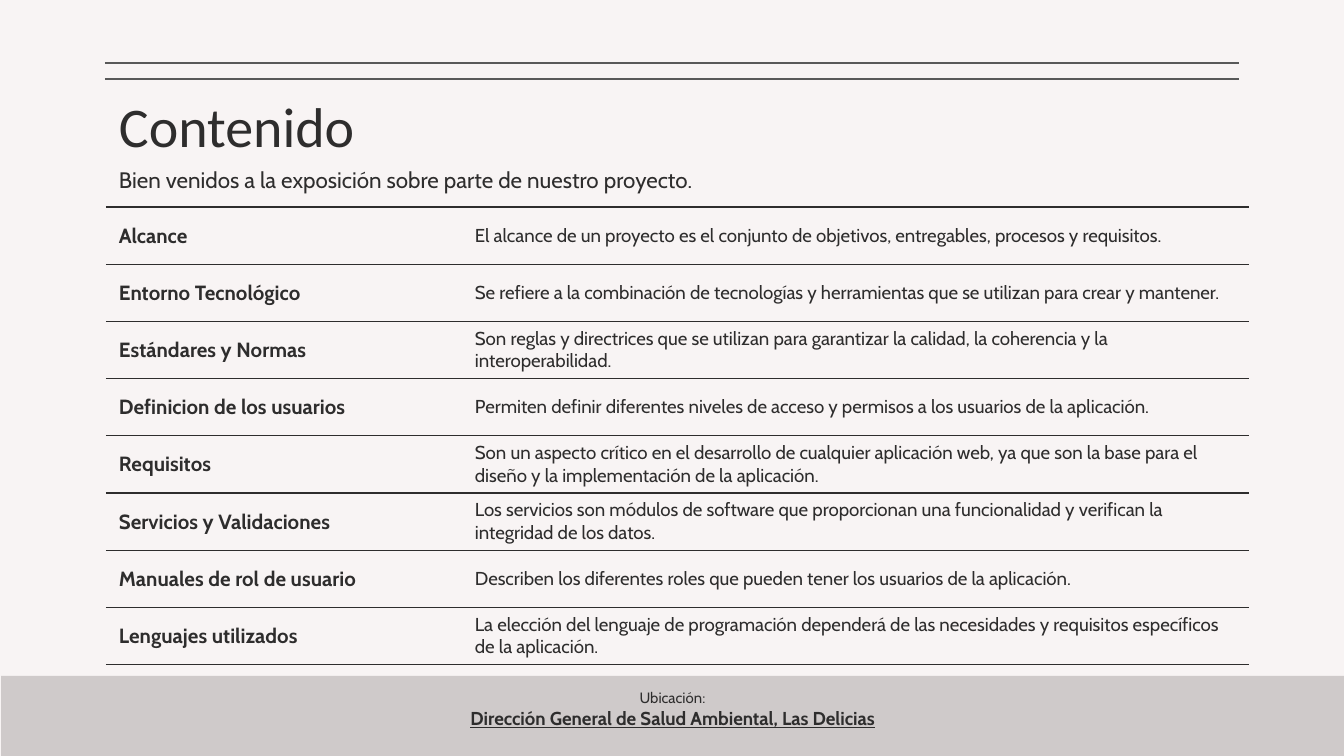
from lxml import etree
from pptx import Presentation
from pptx.dml.color import RGBColor
from pptx.enum.shapes import MSO_CONNECTOR, MSO_SHAPE
from pptx.enum.text import MSO_ANCHOR, PP_ALIGN
from pptx.oxml.ns import qn
from pptx.util import Emu, Pt

STRAIGHT = MSO_CONNECTOR.STRAIGHT
RECTANGLE = MSO_SHAPE.RECTANGLE
TOP, MIDDLE = MSO_ANCHOR.TOP, MSO_ANCHOR.MIDDLE
LEFT, CENTER = PP_ALIGN.LEFT, PP_ALIGN.CENTER

EMU_PER_PX = 914400 / 134.4
SLIDE_WIDTH, SLIDE_HEIGHT = 1344, 756
INSET = 13

BACKGROUND = RGBColor(0xF8, 0xF4, 0xF4)
BAND = RGBColor(0xCF, 0xCA, 0xCA)
RULE = RGBColor(0x59, 0x59, 0x59)
INK = RGBColor(0x2E, 0x2D, 0x2D)

TOPICS = [
    ("Alcance",
     "El alcance de un proyecto es el conjunto de objetivos, entregables, procesos y requisitos."),
    ("Entorno Tecnológico",
     "Se refiere a la combinación de tecnologías y herramientas que se utilizan para crear y mantener."),
    ("Estándares y Normas",
     "Son reglas y directrices que se utilizan para garantizar la calidad, la coherencia y la "
     "interoperabilidad."),
    ("Definicion de los usuarios",
     "Permiten definir diferentes niveles de acceso y permisos a los usuarios de la aplicación."),
    ("Requisitos",
     "Son un aspecto crítico en el desarrollo de cualquier aplicación web, ya que son la base para el "
     "diseño y la implementación de la aplicación."),
    ("Servicios y Validaciones",
     "Los servicios son módulos de software que proporcionan una funcionalidad y verifican la "
     "integridad de los datos."),
    ("Manuales de rol de usuario",
     "Describen los diferentes roles que pueden tener los usuarios de la aplicación."),
    ("Lenguajes utilizados",
     "La elección del lenguaje de programación dependerá de las necesidades y requisitos específicos "
     "de la aplicación."),
]


def px(value):
    return Emu(round(value * EMU_PER_PX))


def style(font, size, name="Cabin", bold=False, underline=False):
    font.name = name
    font.size = Pt(size)
    font.bold = bold
    font.underline = underline
    font.color.rgb = INK


def add_text_box(slide, left, top, width, height, alignment=LEFT):
    """Add an empty wrapped box and return its text frame."""
    box = slide.shapes.add_textbox(px(left), px(top), px(width), px(height))
    text_frame = box.text_frame
    text_frame.word_wrap = True
    text_frame.vertical_anchor = TOP
    text_frame.margin_left = text_frame.margin_right = px(INSET)
    text_frame.margin_top = text_frame.margin_bottom = px(INSET)
    text_frame.paragraphs[0].alignment = alignment
    return text_frame


def add_double_rule(slide, left, top, width, gap):
    for y in (top, top + gap):
        rule = slide.shapes.add_connector(STRAIGHT, px(left), px(y), px(left + width), px(y))
        rule.line.color.rgb = RULE
        rule.line.width = Pt(0.75)
        etree.SubElement(rule._element.spPr, qn("a:effectLst"))


def add_heading(slide, left, top, width):
    title = add_text_box(slide, left, top, width, 85)
    title.text = "Contenido"
    style(title.paragraphs[0].runs[0].font, 30, "Calibri")
    subtitle = add_text_box(slide, left, top + 74, width, 54)
    subtitle.margin_right = 0
    subtitle.text = "Bien venidos a la exposición sobre parte de nuestro proyecto."
    style(subtitle.paragraphs[0].runs[0].font, 12)


def set_borders(cell):
    """Draw the cell's top and bottom edges and hide its sides."""
    properties = cell._tc.get_or_add_tcPr()
    for position, edge in enumerate(("lnL", "lnR", "lnT", "lnB")):
        line = etree.Element(qn(f"a:{edge}"), w=str(Pt(0.75)))
        if edge in ("lnT", "lnB"):
            fill = etree.SubElement(line, qn("a:solidFill"))
            etree.SubElement(fill, qn("a:srgbClr"), val=str(INK))
        else:
            etree.SubElement(line, qn("a:noFill"))
        properties.insert(position, line)


def fill_cell(cell, text, size, bold):
    cell.fill.background()
    cell.vertical_anchor = MIDDLE
    cell.margin_left = cell.margin_right = px(INSET)
    cell.margin_top = cell.margin_bottom = 0
    cell.text_frame.text = text
    style(cell.text_frame.paragraphs[0].runs[0].font, size, bold=bold)
    set_borders(cell)


def add_topics_table(slide, left, top, width, height, topic_width):
    frame = slide.shapes.add_table(len(TOPICS), 2, px(left), px(top), px(width), px(height))
    table = frame.table
    table.first_row = table.horz_banding = False
    table.columns[0].width = px(topic_width)
    table.columns[1].width = px(width - topic_width)
    for index, (topic, description) in enumerate(TOPICS):
        table.rows[index].height = px(height / len(TOPICS))
        fill_cell(table.cell(index, 0), topic, 11, True)
        fill_cell(table.cell(index, 1), description, 10, False)


def add_footer(slide, left, top, width, height):
    band = slide.shapes.add_shape(RECTANGLE, px(left), px(top), px(width), px(height))
    band.shadow.inherit = False
    band.fill.solid()
    band.fill.fore_color.rgb = BAND
    band.line.fill.background()

    text_width = 524
    text_left = left + (width - text_width) / 2
    paragraph = add_text_box(slide, text_left, top, text_width, 54, CENTER).paragraphs[0]
    label = paragraph.add_run()
    label.text = "Ubicación:"
    style(label.font, 8)
    paragraph.add_line_break()
    place = paragraph.add_run()
    place.text = "Dirección General de Salud Ambiental, Las Delicias"
    style(place.font, 10, bold=True, underline=True)


def main():
    presentation = Presentation()
    presentation.slide_width = px(SLIDE_WIDTH)
    presentation.slide_height = px(SLIDE_HEIGHT)
    slide = presentation.slides.add_slide(presentation.slide_layouts[6])
    slide.background.fill.solid()
    slide.background.fill.fore_color.rgb = BACKGROUND

    add_footer(slide, 1, 676, SLIDE_WIDTH - 1, SLIDE_HEIGHT - 676)
    add_double_rule(slide, 105, 63, 1134, 16)
    add_heading(slide, 106, 79, 1133)
    add_topics_table(slide, 106, 207, 1143, 458, 356)
    presentation.save("out.pptx")


if __name__ == "__main__":
    main()
